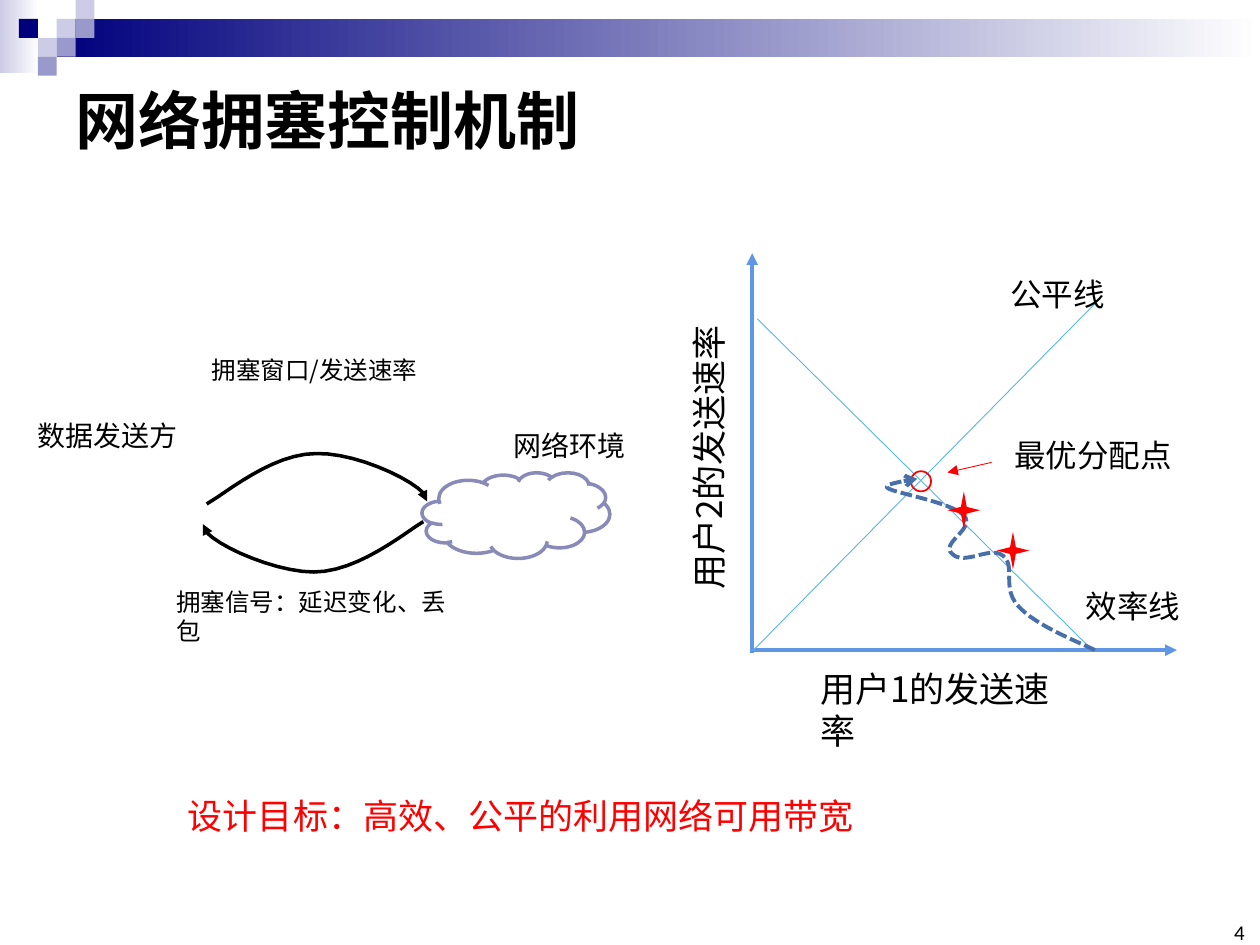
import pptx
import pptx.util
from pptx.dml.color import RGBColor
from pptx.enum.dml import MSO_LINE
from pptx.enum.shapes import MSO_CONNECTOR, MSO_SHAPE
from pptx.enum.text import MSO_ANCHOR, PP_ALIGN
from lxml import etree

Inches, Pt = pptx.util.Inches, pptx.util.Pt
NS = "http://schemas.openxmlformats.org/drawingml/2006/main"
LATIN, CJK = "Calibri", "Noto Sans CJK SC"
BLACK, RED = "000000", "FF0000"
NAVY, PALE, MID, WHITE = "00007D", "CCCCE6", "9999CC", "FFFFFF"
AXIS, GUIDE, TRACE, EDGE = "6096E6", "58B6E5", "476FAA", "8A8AB9"

TITLE = "网络拥塞控制机制"

# left, top, width, height, start colour
BANDS = [(0, 0, 0.31, 0.58, PALE), (0.45, 0.15, 9.55, 0.3, NAVY)]
# column, row, colour on the header grid
TILE = 0.15
TILES = [(3, 1, PALE), (4, 0, PALE), (4, 1, MID), (2, 2, PALE),
         (1, 1, NAVY), (3, 2, MID), (2, 3, MID)]

# text, left, top, width, height, size
LABELS = [
    ("数据发送方", 0.2, 3.27, 1.31, 0.37, 16),
    ("网络环境", 3.98, 3.35, 1.09, 0.37, 16),
    ("拥塞窗口/发送速率", 1.58, 2.77, 1.85, 0.34, 14),
    ("拥塞信号：延迟变化、丢包", 1.3, 4.61, 2.53, 0.34, 14),
    ("用户1的发送速率", 6.41, 5.25, 2.29, 0.44, 20),
    ("公平线", 7.92, 2.13, 1.05, 0.4, 18),
    ("效率线", 8.52, 4.61, 0.97, 0.4, 18),
    ("最优分配点", 7.95, 3.41, 1.47, 0.4, 18),
]

# start, end, colour, width, arrowhead
LINES = [
    ((5.97, 5.16), (9.34, 5.16), AXIS, 2.25, "triangle"),
    ((5.97, 5.18), (5.97, 2.01), AXIS, 2.25, "triangle"),
    ((6.01, 2.53), (8.67, 5.16), GUIDE, 0.5, None),
    ((5.98, 5.16), (8.73, 2.37), GUIDE, 0.5, None),
    ((7.87, 3.67), (7.52, 3.75), RED, 0.5, "triangle"),
]

# Bezier points: a start, then two controls and an end for each piece
SEND = [(1.64, 4), (1.8, 3.91), (2.16, 3.6), (2.51, 3.6),
        (2.86, 3.59), (3.42, 3.87), (3.39, 3.98)]
REPLY = [(3.36, 4.14), (3.21, 4.23), (2.84, 4.54), (2.49, 4.54),
         (2.14, 4.54), (1.58, 4.27), (1.61, 4.16)]
PATH = [(8.69, 5.16), (8.57, 5.1), (8.23, 4.97), (8.09, 4.82),
        (7.94, 4.67), (8.07, 4.5), (7.96, 4.41),
        (7.86, 4.33), (7.66, 4.49), (7.56, 4.4),
        (7.45, 4.31), (7.75, 4.2), (7.65, 4.09),
        (7.54, 3.98), (7.07, 3.91), (7.04, 3.87),
        (7.01, 3.84), (7.23, 3.81), (7.28, 3.8)]
STARS = [(7.91, 4.22), (7.52, 3.9)]


def rgb(code):
    return RGBColor.from_string(code)


def ink(line, color, width, head=None):
    """Style a line, with an arrowhead at its end if one is named."""
    line.color.rgb = rgb(color)
    line.width = Pt(width)
    if head:
        tail = etree.SubElement(line._get_or_add_ln(), f"{{{NS}}}tailEnd")
        tail.set("type", head)


def add_shape(kind, box, fill=None, edge=None, width=1):
    shape = shapes.add_shape(kind, *map(Inches, box))
    shape.shadow.inherit = False
    if fill:
        shape.fill.solid()
        shape.fill.fore_color.rgb = rgb(fill)
    else:
        shape.fill.background()
    if edge:
        ink(shape.line, edge, width)
    else:
        shape.line.fill.background()
    return shape


def add_band(box, color):
    """Draw a bar that fades from a colour to white."""
    fill = add_shape(MSO_SHAPE.RECTANGLE, box).fill
    fill.gradient()
    fill.gradient_angle = 0
    for stop, code in zip(fill.gradient_stops, (color, WHITE)):
        stop.color.rgb = rgb(code)


def add_line(start, end, color, width, head):
    line = shapes.add_connector(MSO_CONNECTOR.STRAIGHT,
                                *map(Inches, start + end))
    ink(line.line, color, width, head)
    etree.SubElement(line._element.spPr, f"{{{NS}}}effectLst")


def bend(points, steps=12):
    """Return points along a chain of cubic Bezier pieces."""
    out = [points[0]]
    for i in range(0, len(points) - 1, 3):
        for n in range(1, steps + 1):
            t = n / steps
            u = 1 - t
            parts = (u ** 3, 3 * u * u * t, 3 * u * t * t, t ** 3)
            out.append(tuple(sum(k * p[axis] for k, p
                                 in zip(parts, points[i:i + 4]))
                             for axis in (0, 1)))
    return out


def add_curve(points, color, width, head, dash=None):
    spots = [(Inches(x), Inches(y)) for x, y in bend(points)]
    pen = shapes.build_freeform(*spots[0])
    pen.add_line_segments(spots[1:], close=False)
    curve = pen.convert_to_shape()
    curve.shadow.inherit = False
    curve.fill.background()
    if dash:
        curve.line.dash_style = dash
    ink(curve.line, color, width, head)


def put_text(frame, text, size, color=BLACK, face=CJK, align=PP_ALIGN.LEFT):
    frame.word_wrap = True
    para = frame.paragraphs[0]
    para.alignment = align
    run = para.add_run()
    run.text = text
    run.font.size = Pt(size)
    run.font.name = face
    run.font.color.rgb = rgb(color)
    if face == CJK:
        etree.SubElement(run.font._element, f"{{{NS}}}ea").set("typeface", face)
    return run


def add_text(text, left, top, width, height, size, **style):
    box = shapes.add_textbox(*map(Inches, (left, top, width, height)))
    put_text(box.text_frame, text, size, **style)
    return box


deck = pptx.Presentation()
deck.slide_width, deck.slide_height = Inches(10), Inches(7.5)
slide = deck.slides.add_slide(deck.slide_layouts[5])
shapes = slide.shapes

# Header
for *box, color in BANDS:
    add_band(box, color)
for col, row, color in TILES:
    add_shape(MSO_SHAPE.RECTANGLE, (col * TILE, row * TILE, TILE, TILE), color)
title = shapes.title
title.left, title.top = Inches(0.5), Inches(0.5)
title.width, title.height = Inches(9), Inches(0.89)
title.text_frame.vertical_anchor = MSO_ANCHOR.MIDDLE
put_text(title.text_frame, TITLE, 36, face=LATIN).font.bold = True

# Control loop
add_shape(MSO_SHAPE.CLOUD, (3.35, 3.75, 1.49, 0.68), WHITE, EDGE, 2)
for loop in (SEND, REPLY):
    add_curve(loop, BLACK, 2, "triangle")

# Rate plot
for line in LINES:
    add_line(*line)
add_shape(MSO_SHAPE.OVAL, (7.23, 3.74, 0.16, 0.16), edge=RED)
add_curve(PATH, TRACE, 2.25, "arrow", MSO_LINE.SQUARE_DOT)
for spot in STARS:
    add_shape(MSO_SHAPE.STAR_4_POINT, spot + (0.26, 0.3), RED)

# Labels
for label in LABELS:
    add_text(*label)
add_text("用户2的发送速率", 4.32, 3.25, 2.62, 0.44, 20).rotation = 270
add_text("设计目标：高效、公平的利用网络可用带宽", 1.09, 6.26, 6.09, 0.44, 20,
         color=RED, align=PP_ALIGN.CENTER)
number = add_text("4", 9.65, 7.33, 0.23, 0.17, 12,
                  face=LATIN, align=PP_ALIGN.RIGHT).text_frame
number.vertical_anchor = MSO_ANCHOR.BOTTOM
number.margin_left = number.margin_right = 0
number.margin_top = number.margin_bottom = 0

deck.save("out.pptx")
